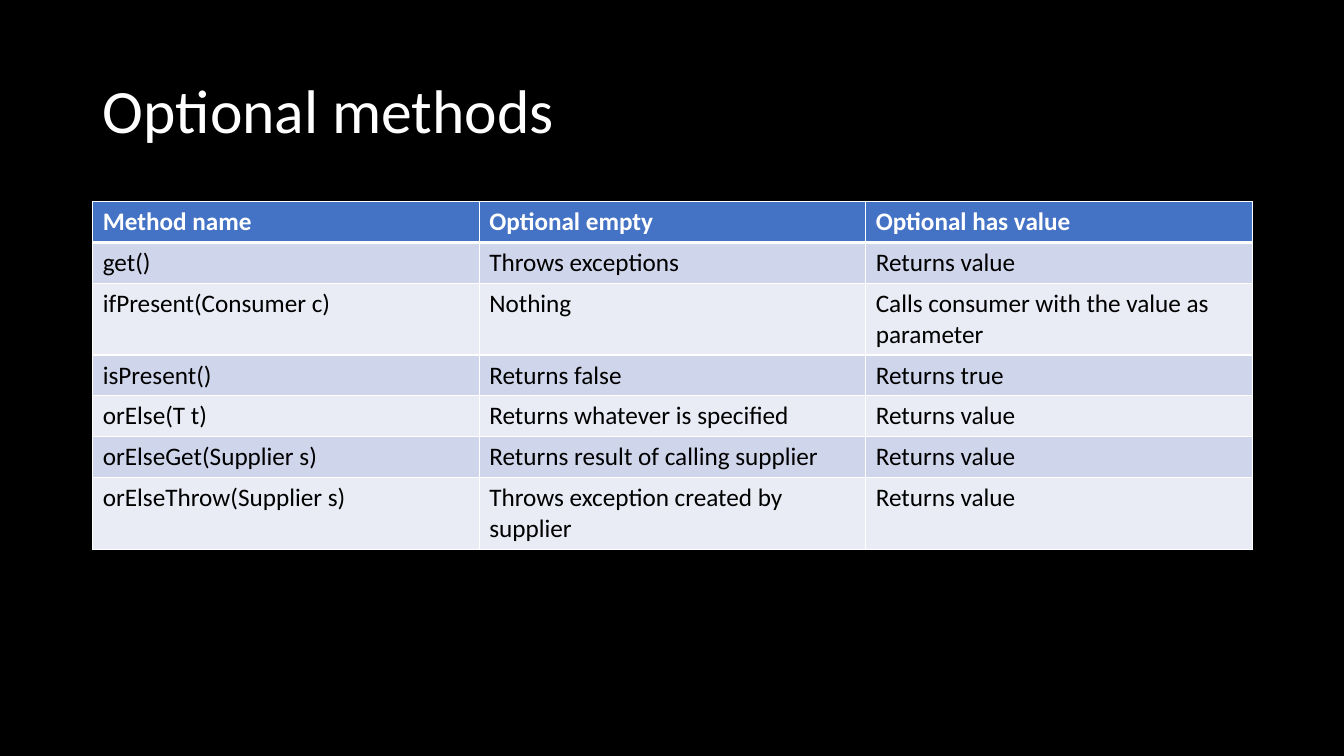
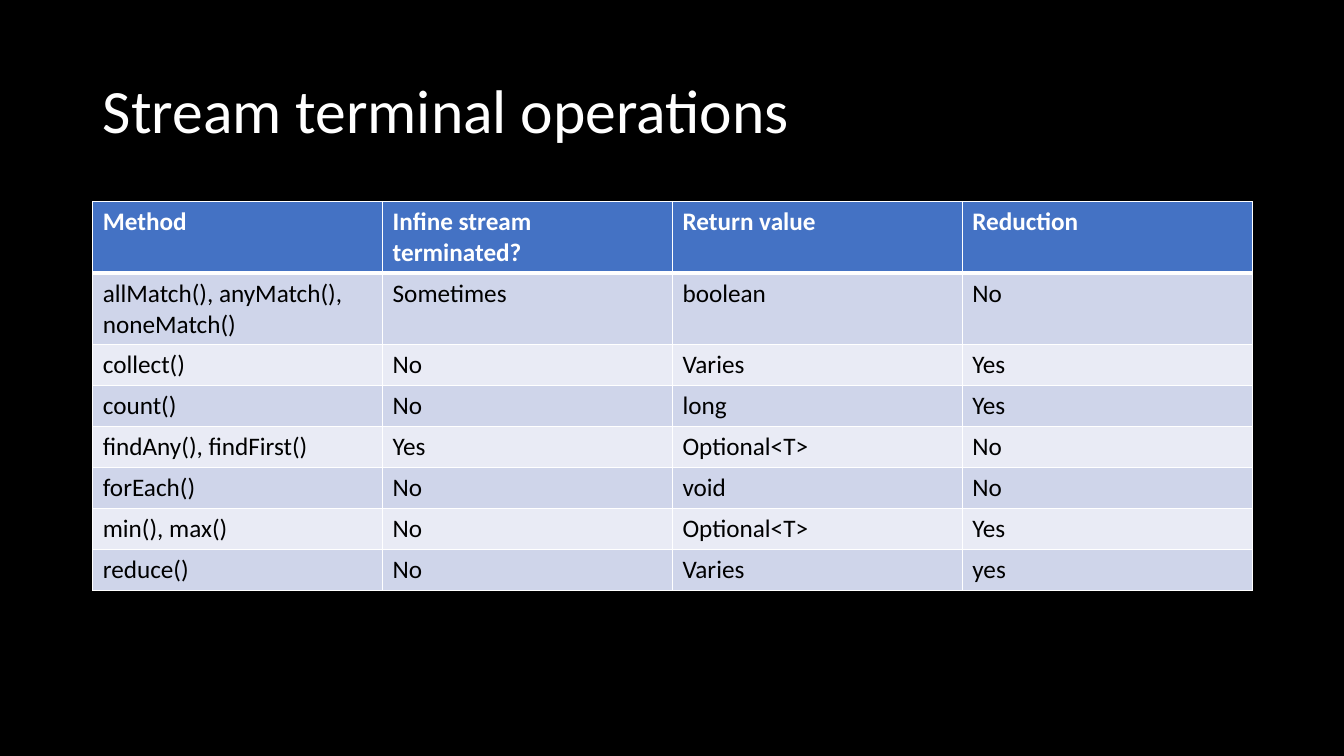
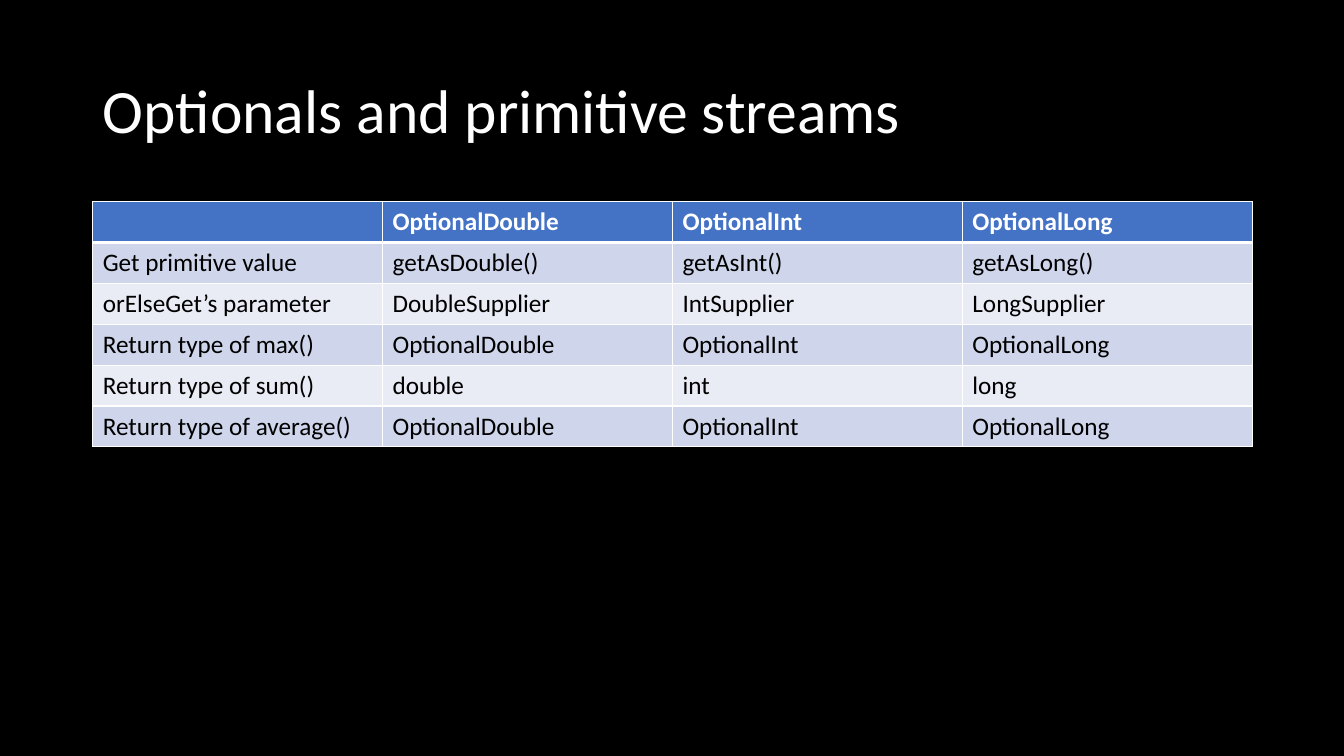
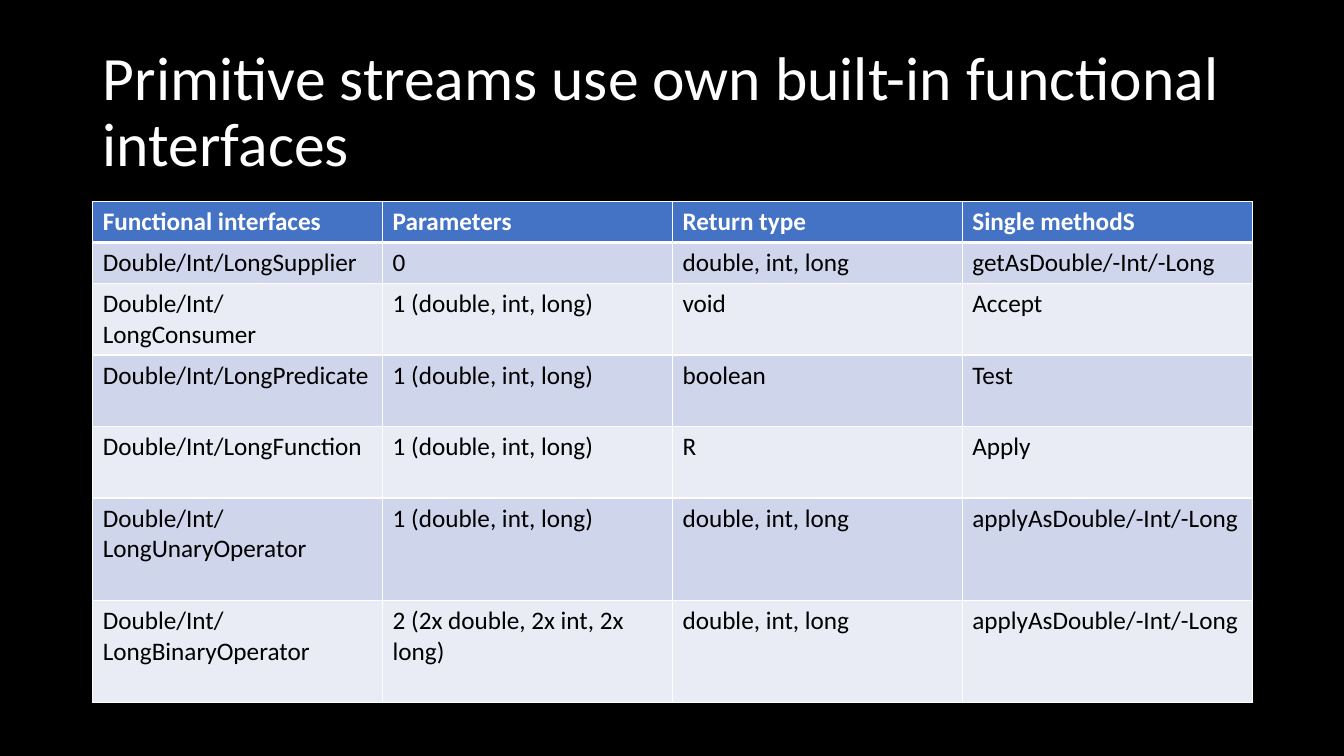
"""Build four slides of Java Optional and stream reference tables."""
from lxml.etree import SubElement
from pptx import Presentation
from pptx.dml.color import RGBColor
from pptx.enum.text import MSO_ANCHOR, PP_ALIGN
from pptx.oxml.ns import qn
from pptx.util import Inches, Pt

COLORS = {
    "background": "000000",
    "title": "FFFFFF",
    "header": "4472C4",
    "header_text": "FFFFFF",
    "body_text": "000000",
    "odd_row": "CFD5EA",
    "even_row": "E9EBF5",
    "border": "FFFFFF",
}
FONT = "Calibri"
TITLE_FONT = {"name": FONT, "size": Pt(44), "bold": False}
HEADER_FONT = {"name": FONT, "size": Pt(18), "bold": True}
BODY_FONT = {"name": FONT, "size": Pt(18), "bold": False}

LEFT, WIDTH = 0.92, 11.5
TITLE_TOP, TITLE_HEIGHT = 0.4, 1.45
TABLE_TOP = 2
CELL_PADDING, LINE_HEIGHT = 0.1, 0.305

SLIDES = [
    {
        "title": "Optional methods",
        "row_lines": [1, 1, 2, 1, 1, 1, 2],
        "rows": [
            ("Method name", "Optional empty", "Optional has value"),
            ("get()", "Throws exceptions", "Returns value"),
            ("ifPresent(Consumer c)", "Nothing", "Calls consumer with the value as parameter"),
            ("isPresent()", "Returns false", "Returns true"),
            ("orElse(T t)", "Returns whatever is specified", "Returns value"),
            ("orElseGet(Supplier s)", "Returns result of calling supplier", "Returns value"),
            ("orElseThrow(Supplier s)", "Throws exception created by supplier", "Returns value"),
        ],
    },
    {
        "title": "Stream terminal operations",
        "row_lines": [2, 2, 1, 1, 1, 1, 1, 1],
        "rows": [
            ("Method", "Infine stream terminated?", "Return value", "Reduction"),
            ("allMatch(), anyMatch(), noneMatch()", "Sometimes", "boolean", "No"),
            ("collect()", "No", "Varies", "Yes"),
            ("count()", "No", "long", "Yes"),
            ("findAny(), findFirst()", "Yes", "Optional<T>", "No"),
            ("forEach()", "No", "void", "No"),
            ("min(), max()", "No", "Optional<T>", "Yes"),
            ("reduce()", "No", "Varies", "yes"),
        ],
    },
    {
        "title": "Optionals and primitive streams",
        "row_lines": [1, 1, 1, 1, 1, 1],
        "rows": [
            ("", "OptionalDouble", "OptionalInt", "OptionalLong"),
            ("Get primitive value", "getAsDouble()", "getAsInt()", "getAsLong()"),
            ("orElseGet’s parameter", "DoubleSupplier", "IntSupplier", "LongSupplier"),
            ("Return type of max()", "OptionalDouble", "OptionalInt", "OptionalLong"),
            ("Return type of sum()", "double", "int", "long"),
            ("Return type of average()", "OptionalDouble", "OptionalInt", "OptionalLong"),
        ],
    },
    {
        "title": "Primitive streams use own built-in functional interfaces",
        "row_lines": [1, 1, 2, 2, 2, 3, 3],
        "rows": [
            ("Functional interfaces", "Parameters", "Return type", "Single methodS"),
            ("Double/Int/LongSupplier", "0", "double, int, long", "getAsDouble/-Int/-Long"),
            ("Double/Int/LongConsumer", "1 (double, int, long)", "void", "Accept"),
            ("Double/Int/LongPredicate", "1 (double, int, long)", "boolean", "Test"),
            ("Double/Int/LongFunction", "1 (double, int, long)", "R", "Apply"),
            ("Double/Int/LongUnaryOperator", "1 (double, int, long)",
             "double, int, long", "applyAsDouble/-Int/-Long"),
            ("Double/Int/LongBinaryOperator", "2 (2x double, 2x int, 2x long)",
             "double, int, long", "applyAsDouble/-Int/-Long"),
        ],
    },
]


def color(name):
    return RGBColor.from_string(COLORS[name])


def format_font(font, values, color_name):
    for attribute, value in values.items():
        setattr(font, attribute, value)
    font.color.rgb = color(color_name)


def prepare_layout(presentation):
    fill = presentation.slide_master.background.fill
    fill.solid()
    fill.fore_color.rgb = color("background")
    layout = presentation.slide_layouts.get_by_name("Title Only")
    title = layout.placeholders[0]
    title.left, title.top = Inches(LEFT), Inches(TITLE_TOP)
    title.width, title.height = Inches(WIDTH), Inches(TITLE_HEIGHT)
    title.text_frame.vertical_anchor = MSO_ANCHOR.MIDDLE
    return layout


def add_title(slide, text):
    slide.shapes.title.text = text
    paragraph = slide.shapes.title.text_frame.paragraphs[0]
    paragraph.alignment = PP_ALIGN.LEFT
    paragraph.line_spacing = 0.9
    format_font(paragraph.runs[0].font, TITLE_FONT, "title")


def add_borders(cell, widths):
    properties = cell._tc.get_or_add_tcPr()
    for side, width in widths.items():
        line = SubElement(properties, qn(f"a:ln{side}"), w=str(Pt(width)))
        fill = SubElement(line, qn("a:solidFill"))
        SubElement(fill, qn("a:srgbClr"), val=COLORS["border"])


def format_cell(cell, row_index):
    is_header = row_index == 0
    add_borders(cell, {"L": 1, "R": 1, "T": 3 if row_index == 1 else 1, "B": 3 if is_header else 1})
    cell.fill.solid()
    band = "header" if is_header else "odd_row" if row_index % 2 else "even_row"
    cell.fill.fore_color.rgb = color(band)
    font = cell.text_frame.paragraphs[0].font
    if is_header:
        format_font(font, HEADER_FONT, "header_text")
    else:
        format_font(font, BODY_FONT, "body_text")
    for run in cell.text_frame.paragraphs[0].runs:
        format_font(run.font, HEADER_FONT if is_header else BODY_FONT,
                    "header_text" if is_header else "body_text")


def add_reference_table(slide, rows, row_lines):
    heights = [CELL_PADDING + LINE_HEIGHT * lines for lines in row_lines]
    frame = slide.shapes.add_table(
        len(rows), len(rows[0]), Inches(LEFT), Inches(TABLE_TOP), Inches(WIDTH), Inches(sum(heights)))
    table = frame.table
    for row_index, (texts, height) in enumerate(zip(rows, heights)):
        table.rows[row_index].height = Inches(height)
        for column_index, text in enumerate(texts):
            cell = table.cell(row_index, column_index)
            cell.text = text
            format_cell(cell, row_index)


def main():
    presentation = Presentation()
    presentation.slide_width, presentation.slide_height = Inches(13.33), Inches(7.5)
    layout = prepare_layout(presentation)
    for content in SLIDES:
        slide = presentation.slides.add_slide(layout)
        add_title(slide, content["title"])
        add_reference_table(slide, content["rows"], content["row_lines"])
    presentation.save("out.pptx")


if __name__ == "__main__":
    main()
